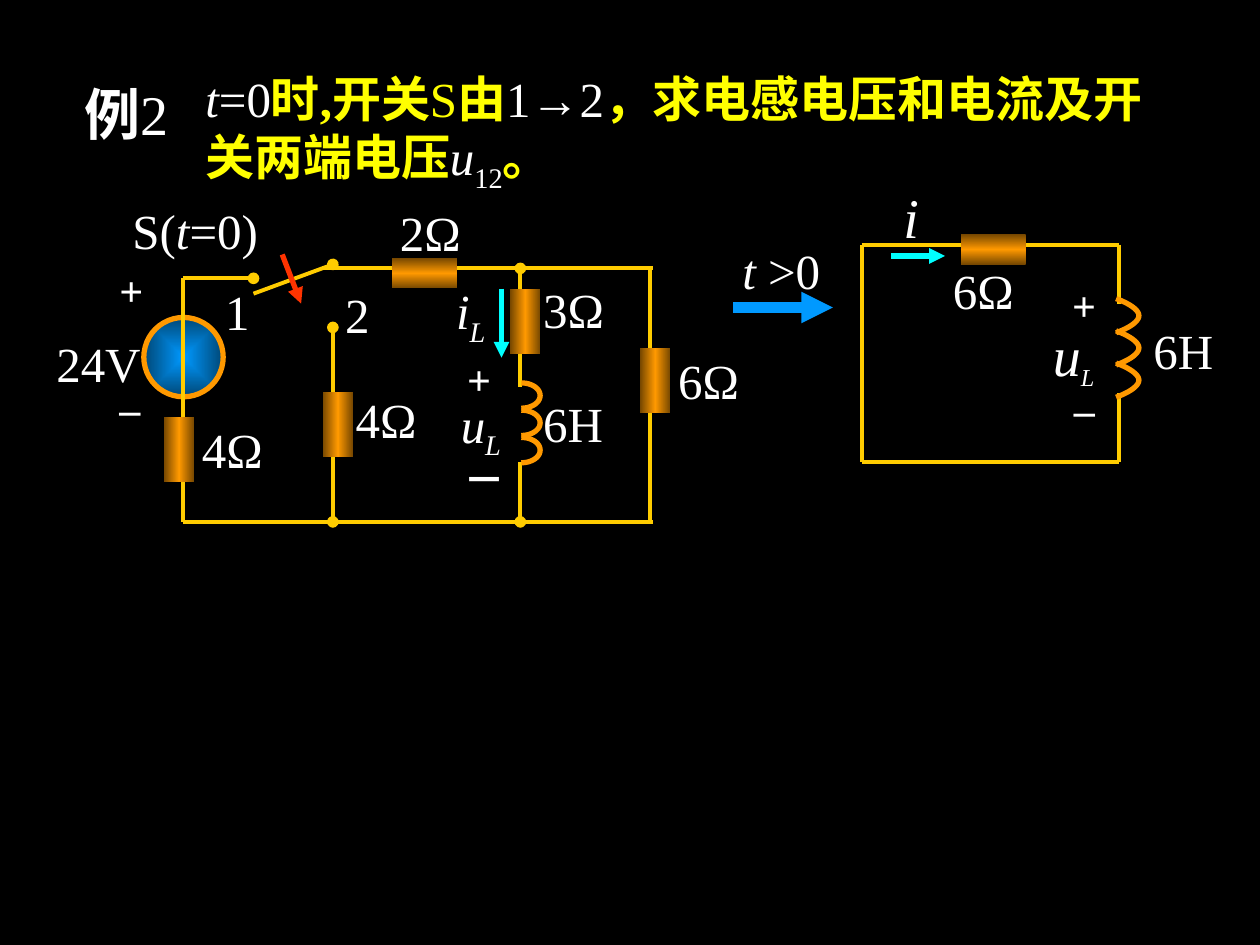
from lxml import etree
from pptx import Presentation
from pptx.dml.color import RGBColor
from pptx.enum.shapes import MSO_CONNECTOR, MSO_SHAPE
from pptx.enum.text import MSO_ANCHOR, MSO_AUTO_SIZE, PP_ALIGN
from pptx.oxml import parse_xml
from pptx.oxml.ns import nsdecls, qn
from pptx.util import Cm, Pt

LINE = MSO_CONNECTOR.STRAIGHT
RECT, OVAL = MSO_SHAPE.RECTANGLE, MSO_SHAPE.OVAL
MID, GROW = MSO_ANCHOR.MIDDLE, MSO_AUTO_SIZE.SHAPE_TO_FIT_TEXT
LEFT, CENTER = PP_ALIGN.LEFT, PP_ALIGN.CENTER
FONT = "Times New Roman"
COLORS = {
    "back": "000000", "text": "FFFFFF", "mark": "FFFF00", "wire": "FFCC00",
    "coil": "FF9900", "rust": "764700", "flow": "00FFFF", "next": "0099FF",
    "deep": "004776", "turn": "FF3300",
}
DOWN = '<a:lin ang="5400000" scaled="1"/>'
ROUND = ('<a:path path="shape"><a:fillToRect l="50000" t="50000" '
         'r="50000" b="50000"/></a:path>')
OHM = 1.75


def rgb(name):
    return RGBColor.from_string(COLORS[name])


def shade(shape, names, way):
    step = 100000 // (len(names) - 1)
    stops = "".join(
        f'<a:gs pos="{n * step}"><a:srgbClr val="{COLORS[name]}"/></a:gs>'
        for n, name in enumerate(names))
    shape.fill.gradient()
    props = shape._element.spPr
    props.replace(props.find(qn("a:gradFill")), parse_xml(
        f'<a:gradFill {nsdecls("a")} rotWithShape="1">'
        f'<a:gsLst>{stops}</a:gsLst>{way}</a:gradFill>'))


class Panel:
    def __init__(self, slide, left, top):
        self.shapes = slide.shapes
        self.left, self.top = left, top

    def spot(self, x, y):
        return Cm(self.left + x), Cm(self.top + y)

    def wire(self, x1, y1, x2, y2, color="wire", width=2.25, head="", tail=""):
        line = self.shapes.add_connector(
            LINE, *self.spot(x1, y1), *self.spot(x2, y2))
        line.line.color.rgb = rgb(color)
        line.line.width = Pt(width)
        stroke = line.line._get_or_add_ln()
        for end, kind in (("a:headEnd", head), ("a:tailEnd", tail)):
            if kind:
                etree.SubElement(stroke, qn(end), type=kind)
        etree.SubElement(line._element.spPr, qn("a:effectLst"))

    def text(self, runs, x, y, w, size=28, h=None, align=CENTER, wrap=False):
        box = self.shapes.add_textbox(
            *self.spot(x, y), Cm(w), Cm(h or size * 0.05 + 0.05))
        frame = box.text_frame
        frame.word_wrap = wrap
        frame.auto_size = GROW
        frame.vertical_anchor = MID
        para = frame.paragraphs[0]
        para.alignment = align
        font = para.font
        font.name, font.size = FONT, Pt(size)
        font.color.rgb = rgb("text")
        for words, style in runs:
            run = para.add_run()
            run.text = words
            if "i" in style:
                run.font.italic = True
            if "b" in style:
                run.font.bold = True
            if "y" in style:
                run.font.color.rgb = rgb("mark")
            if "s" in style:
                run.font.size = Pt(min(size, 28 if size == 28 else 24))
                run._r.get_or_add_rPr().set("baseline", "-25000")

    def block(self, x, y, turn=90):
        w, h = 1.31, 0.61
        shape = self.shapes.add_shape(
            RECT, *self.spot(x - w / 2, y - h / 2), Cm(w), Cm(h))
        shape.rotation = turn
        shape.shadow.inherit = False
        shape.line.fill.background()
        shade(shape, ("rust", "coil", "rust"), DOWN)

    def coil(self, x, y, w, h, pitch, bend, rise):
        half = []
        for n in range(13):
            t = n / 12
            u = 1 - t
            half.append((w * (3 * u * u * t * bend + 3 * u * t * t + t ** 3),
                         h * (3 * u * u * t * rise
                              + 3 * u * t * t * (0.22 + rise * 0.75)
                              + t ** 3 / 2)))
        arc = half + [(dx, h - dy) for dx, dy in half[-2::-1]]
        for n in range(3):
            path = [self.spot(x + dx, y + n * pitch + dy) for dx, dy in arc]
            pen = self.shapes.build_freeform(*path[0])
            pen.add_line_segments(path[1:], close=False)
            loop = pen.convert_to_shape()
            loop.shadow.inherit = False
            loop.fill.background()
            loop.line.color.rgb = rgb("coil")
            loop.line.width = Pt(3)


def draw_title(slide, left, top):
    panel = Panel(slide, left, top)
    panel.text([("例", "b"), ("2", "")], 0, 0.13, 2.49, 32, wrap=True)
    panel.text([
        ("t", "i"), ("=0", ""), ("时,开关", "by"), ("S", "y"), ("由", "by"),
        ("1→2", ""), ("，求电感电压和电流及开关两端电压", "by"),
        ("u", "i"), ("12", "s"), ("。", "by"),
    ], 2.59, 0, 19.41, h=2.64, align=LEFT, wrap=True)


def draw_source(slide, left, top):
    panel = Panel(slide, left, top)
    ball = panel.shapes.add_shape(
        OVAL, *panel.spot(-0.78, 0.99), Cm(1.6), Cm(1.6))
    ball.shadow.inherit = False
    shade(ball, ("next", "deep"), ROUND)
    ball.line.color.rgb = rgb("coil")
    ball.line.width = Pt(3)

    base = 5.11
    for ends in ((9.48, 0, 2.82, 0), (0, base, 9.48, base),
                 (9.43, 0, 9.43, base), (0, 0.2, 0, base)):
        panel.wire(*ends)
    panel.wire(1.43, 0.2, 0, 0.2, head="oval")
    panel.wire(6.81, 3.91, 6.81, base, tail="oval")
    panel.wire(6.81, 0, 6.81, 2.39, head="oval")
    panel.wire(3.03, 1.19, 3.03, base, head="oval", tail="oval")
    panel.wire(1.43, 0.51, 3.03, -0.08, tail="oval")
    panel.wire(2.39, 0.71, 2.01, -0.28, "turn", 3, head="triangle")
    panel.wire(6.43, 0.41, 6.43, 1.8, "flow", 3, tail="triangle")

    for x, y in ((6.91, 1.07), (3.13, 3.15), (9.53, 2.26), (-0.07, 3.66)):
        panel.block(x, y)
    panel.block(4.88, 0.1, 0)
    panel.coil(6.83, 2.31, 0.38, 0.51, 0.55, 0.55, 0)

    for words, x, y, w in (
            ("24V", -2.99, 1.19, 2.59), ("6H", 7.01, 2.39, 1.73),
            ("3Ω", 7.01, 0.1, OHM), ("4Ω", 0.13, 2.92, OHM),
            ("4Ω", 3.23, 2.31, OHM), ("6Ω", 9.73, 1.52, OHM),
            ("2Ω", 4.12, -1.45, OHM)):
        panel.text([(words, "")], x, y, w)
    for words, x, y in (("1", 0.61, 0.13), ("2", 3.03, 0.2)):
        panel.text([(words, "")], x, y, 1.19, align=LEFT, wrap=True)
    for words, x, y in (("+", -1.6, -0.2), ("–", -1.63, 2.18),
                        ("+", 5.41, 1.6), ("－", 5.41, 3.61)):
        panel.text([(words, "b")], x, y, 1.14, 24, wrap=True)
    panel.text([("S(", ""), ("t", "i"), ("=0)", "")], -1.27, -1.5, 3.05)
    panel.text([("i", "i"), ("L", "is")], 5.24, 0.2, 1.14)
    panel.text([("u", "i"), ("L", "is")], 5.34, 2.49, 1.35)


def draw_step(slide, left, top):
    panel = Panel(slide, left, top)
    panel.text([("t", "i"), (" >0", "")], 0, 0, 2.08)
    panel.wire(0.07, 1.48, 2.08, 1.48, "next", 6, tail="triangle")


def draw_loop(slide, left, top, w, h):
    panel = Panel(slide, left, top)
    for ends in ((0, 0, w, 0), (0, h, w, h), (0, 0, 0, h),
                 (w, 0, w, 1.19), (w, 2.99, w, h)):
        panel.wire(*ends)
    panel.wire(0.59, 0.23, 1.68, 0.23, "flow", 3, tail="triangle")
    panel.block(2.65, 0.1, 0)
    panel.coil(w - 0.05, 1.09, 0.46, 0.69, 0.65, 0.6, 0.15)
    panel.text([("i", "i")], 0.59, -1.4, 0.81, 32)
    panel.text([("+", "b")], 3.99, 0.58, 0.99, 24)
    panel.text([("–", "b")], 4.02, 2.69, 0.94, 24)
    panel.text([("u", "i"), ("L", "is")], 3.59, 1.42, 1.37, 32)
    panel.text([("6Ω", "")], 1.58, 0.2, OHM)
    panel.text([("6H", "")], 5.62, 1.39, 1.73)


def main():
    deck = Presentation()
    deck.slide_width, deck.slide_height = Cm(25.4), Cm(19.05)
    slide = deck.slides.add_slide(deck.slide_layouts[6])
    back = slide.background.fill
    back.solid()
    back.fore_color.rgb = rgb("back")
    draw_title(slide, 1.3, 1.32)
    draw_loop(slide, 17.37, 4.93, 5.18, 4.39)
    draw_step(slide, 14.71, 4.72)
    draw_source(slide, 3.68, 5.41)
    deck.save("out.pptx")


if __name__ == "__main__":
    main()
